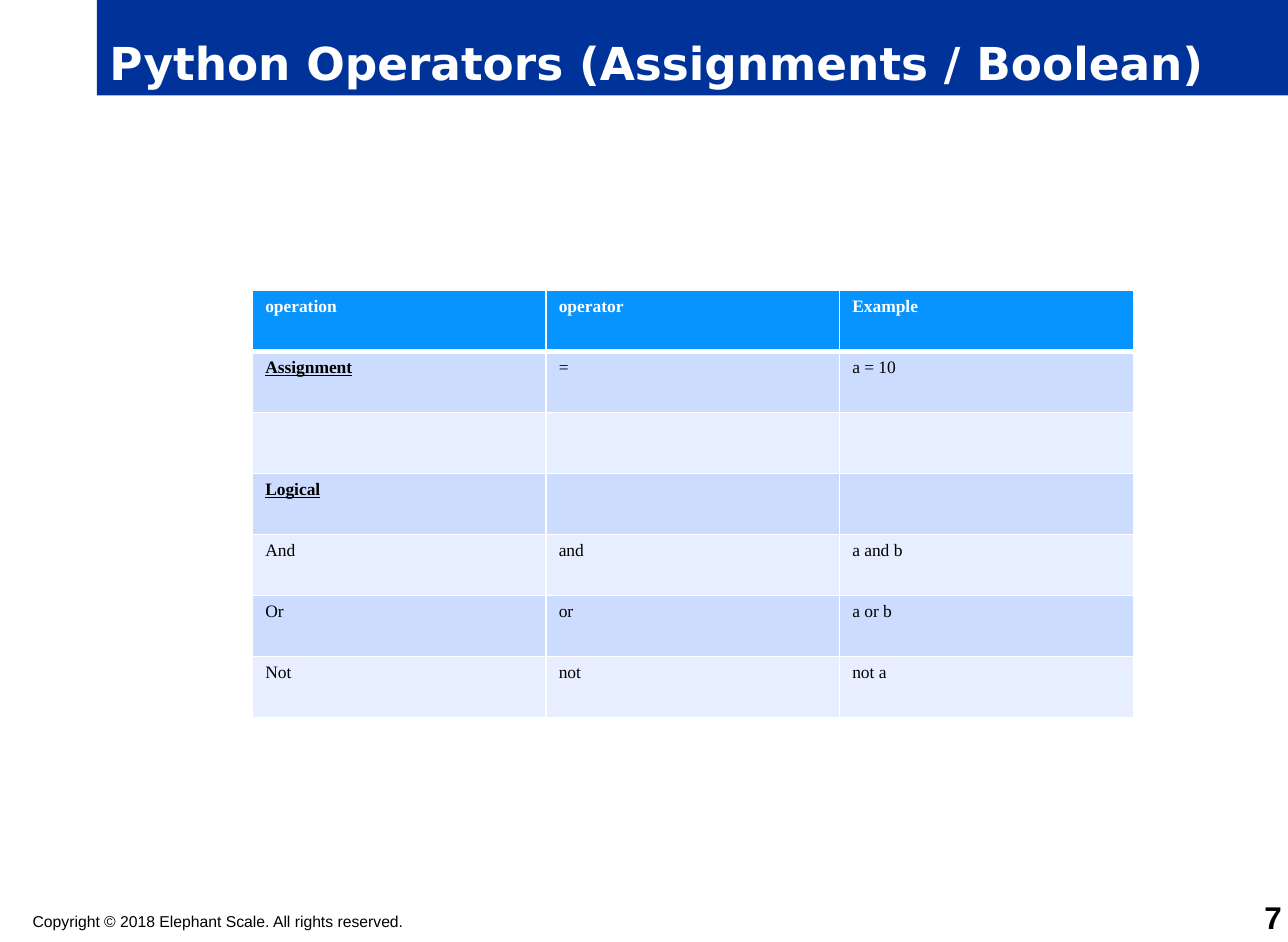
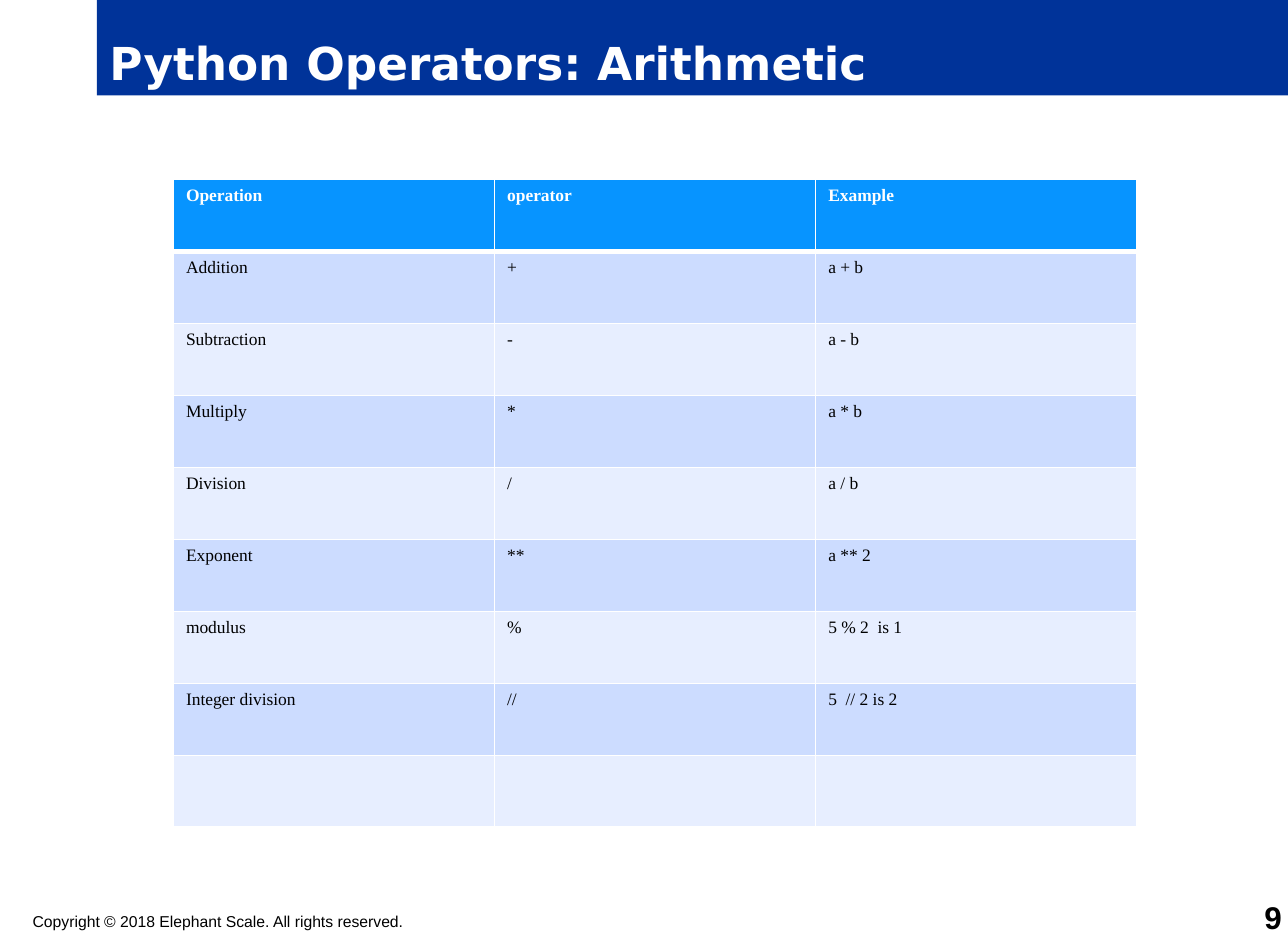
from pptx import Presentation
from pptx.dml.color import RGBColor
from pptx.enum.text import MSO_ANCHOR, MSO_AUTO_SIZE, PP_ALIGN
from pptx.oxml import parse_xml
from pptx.oxml.ns import nsdecls
from pptx.util import Pt

LEFT, RIGHT = PP_ALIGN.LEFT, PP_ALIGN.RIGHT
TOP, BOTTOM = MSO_ANCHOR.TOP, MSO_ANCHOR.BOTTOM
NO_FIT = MSO_AUTO_SIZE.NONE
TITLE_ONLY = 5
PAGE_WIDTH, PAGE_HEIGHT = 738, 540
BAND_LEFT, BAND_HEIGHT = 55.5, 54.7

COLORS = {
    "band": "003399",
    "header": "0794FF",
    "odd": "CCDCFF",
    "even": "E7EEFF",
    "white": "FFFFFF",
    "black": "000000",
}
TITLE = {"name": "DejaVu Sans", "size": Pt(26), "bold": True, "color": "white"}
FOOTER = {"name": "Arial", "size": Pt(9), "bold": False, "color": "black"}
NUMBER = {"name": "Arial", "size": Pt(18), "bold": True, "color": "black"}
BODY = {"name": "Times New Roman", "size": Pt(10), "bold": False, "color": "black"}
HEADER = {**BODY, "bold": True, "color": "white"}
GROUP = {**BODY, "bold": True, "underline": True}
GROUP_NAMES = {"Assignment", "Logical"}
COPYRIGHT = "Copyright © 2018 Elephant Scale. All rights reserved."

PAGES = [
    {
        "title": "Python Operators (Assignments / Boolean)",
        "number": "7",
        "corner": (144.8, 166.4),
        "cell_size": (168.2, 35),
        "rows": [
            ("operation", "operator", "Example"),
            ("Assignment", "=", "a = 10"),
            ("", "", ""),
            ("Logical", "", ""),
            ("And", "and", "a and b"),
            ("Or", "or", "a or b"),
            ("Not", "not", "not a"),
        ],
    },
    {
        "title": "Python Operators: Arithmetic",
        "number": "9",
        "corner": (99.4, 103),
        "cell_size": (184, 41.25),
        "rows": [
            ("Operation", "operator", "Example"),
            ("Addition", "+", "a + b"),
            ("Subtraction", "-", "a - b"),
            ("Multiply", "*", "a * b"),
            ("Division", "/", "a / b"),
            ("Exponent", "**", "a ** 2"),
            ("modulus", "%", "5 % 2  is 1"),
            ("Integer division", "//", "5  // 2 is 2"),
            ("", "", ""),
        ],
    },
]


def rgb(name):
    """Return the named palette colour."""
    return RGBColor.from_string(COLORS[name])


def write(frame, text, style, align=LEFT):
    """Write one formatted line into a text frame."""
    para = frame.paragraphs[0]
    para.alignment = align
    span = para.add_run()
    span.text = text
    for key, value in style.items():
        if key == "color":
            span.font.color.rgb = rgb(value)
        else:
            setattr(span.font, key, value)


def add_title(page, text):
    """Turn the title placeholder into the blue band."""
    band = page.shapes.title
    band.left, band.top = Pt(BAND_LEFT), Pt(0)
    band.width, band.height = Pt(PAGE_WIDTH - BAND_LEFT), Pt(BAND_HEIGHT)
    band.fill.solid()
    band.fill.fore_color.rgb = rgb("band")
    frame = band.text_frame
    frame.auto_size = NO_FIT
    frame.vertical_anchor = BOTTOM
    write(frame, text, TITLE)


def add_label(page, text, area, style, align=LEFT, anchor=TOP):
    """Add a text box without margins."""
    box = page.shapes.add_textbox(*map(Pt, area))
    frame = box.text_frame
    frame.word_wrap = True
    frame.vertical_anchor = anchor
    for side in ("left", "top", "right", "bottom"):
        setattr(frame, f"margin_{side}", 0)
    write(frame, text, style, align)


def set_borders(cell, top, bottom):
    """Draw white borders, with the given top and bottom widths in points."""
    for side, width in {"L": 1, "R": 1, "T": top, "B": bottom}.items():
        cell._tc.get_or_add_tcPr().append(parse_xml(
            f'<a:ln{side} {nsdecls("a")} w="{int(Pt(width))}"><a:solidFill>'
            f'<a:srgbClr val="{COLORS["white"]}"/></a:solidFill></a:ln{side}>'
        ))


def format_cell(cell, text, row):
    """Fill, border and write one cell according to its row."""
    set_borders(cell, 3 if row == 1 else 1, 3 if row == 0 else 1)
    cell.fill.solid()
    shade = "header" if row == 0 else ("even", "odd")[row % 2]
    cell.fill.fore_color.rgb = rgb(shade)
    if text:
        style = HEADER if row == 0 else GROUP if text in GROUP_NAMES else BODY
        write(cell.text_frame, text, style)


def add_grid(page, rows, corner, cell_size):
    """Add a table with equal columns and equal rows."""
    counts = len(rows), len(rows[0])
    width, height = cell_size
    area = (*corner, width * counts[1], height * counts[0])
    table = page.shapes.add_table(*counts, *map(Pt, area)).table
    for column in table.columns:
        column.width = Pt(width)
    for index, texts in enumerate(rows):
        table.rows[index].height = Pt(height)
        for cell, text in zip(table.rows[index].cells, texts):
            format_cell(cell, text, index)


def add_page(deck, content):
    """Add one slide with title, footer, number and table."""
    page = deck.slides.add_slide(deck.slide_layouts[TITLE_ONLY])
    add_title(page, content["title"])
    add_label(page, COPYRIGHT, (18.7, 522.7, 428.4, 10.8), FOOTER)
    add_label(page, content["number"], (691.2, 518.4, 43.2, 18), NUMBER, RIGHT, BOTTOM)
    add_grid(page, content["rows"], content["corner"], content["cell_size"])


def main():
    """Build and save the deck."""
    deck = Presentation()
    deck.slide_width, deck.slide_height = Pt(PAGE_WIDTH), Pt(PAGE_HEIGHT)
    for content in PAGES:
        add_page(deck, content)
    deck.save("out.pptx")


if __name__ == "__main__":
    main()
